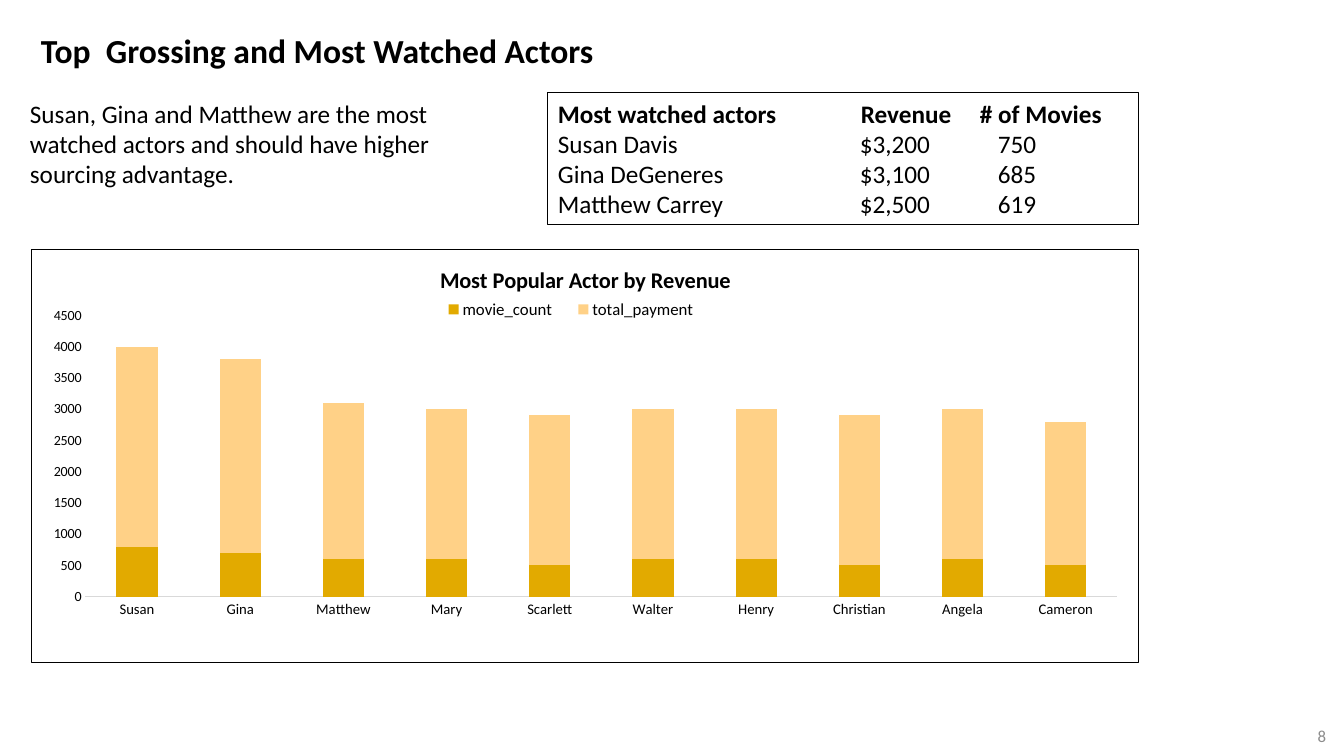
from lxml import etree
from pptx import Presentation
from pptx import util as u
from pptx.chart.data import CategoryChartData
from pptx.dml.color import RGBColor
from pptx.enum import chart as ch, shapes, text
from pptx.oxml import parse_xml
from pptx.oxml.ns import nsdecls, qn

SCALE = 9071.43  # EMU in one px
FONT = "Calibri"
BLACK = RGBColor(0x00, 0x00, 0x00)
GREY = RGBColor(0x8C, 0x8C, 0x8C)
AXIS_GREY = RGBColor(0xD9, 0xD9, 0xD9)
GOLD = RGBColor(0xE2, 0xAA, 0x00)
PEACH = RGBColor(0xFF, 0xD1, 0x87)

HEADER = ("Most watched actors", "Revenue", "# of Movies")
TOP_ACTORS = [
    ("Susan Davis", "$3,200", "750"),
    ("Gina DeGeneres", "$3,100", "685"),
    ("Matthew Carrey", "$2,500", "619"),
]
ACTORS = ["Susan", "Gina", "Matthew", "Mary", "Scarlett",
          "Walter", "Henry", "Christian", "Angela", "Cameron"]
SERIES = [
    ("movie_count", GOLD,
     [800, 700, 600, 600, 500, 600, 600, 500, 600, 500]),
    ("total_payment", PEACH,
     [3200, 3100, 2500, 2400, 2400, 2400, 2400, 2400, 2400, 2300]),
]


def px(n):
    return u.Emu(round(n * SCALE))


def set_font(font, size, color=BLACK, bold=False):
    font.name = FONT
    font.size = u.Pt(size)
    font.bold = bold
    font.color.rgb = color


def add_lines(tf, lines, size, color=BLACK, bold=False, align=text.PP_ALIGN.LEFT):
    tf.word_wrap = True
    for i, line in enumerate(lines):
        p = tf.add_paragraph() if i else tf.paragraphs[0]
        p.text = line
        p.alignment = align
        set_font(p.font, size, color, bold)


def add_text(s, box, lines, size, anchor=text.MSO_ANCHOR.TOP, **style):
    tf = s.shapes.add_textbox(*map(px, box)).text_frame
    tf.vertical_anchor = anchor
    add_lines(tf, lines, size, **style)


def add_tabs(p, stops):
    tabs = etree.SubElement(p._p.get_or_add_pPr(), qn("a:tabLst"))
    for stop in stops:
        etree.SubElement(tabs, qn("a:tab"), pos=str(px(stop)), algn="l")


def add_actor_box(s, box):
    sp = s.shapes.add_shape(shapes.MSO_SHAPE.RECTANGLE, *map(px, box))
    sp.shadow.inherit = False
    sp.fill.background()
    sp.line.color.rgb = BLACK
    sp.line.width = u.Pt(0.75)
    tf = sp.text_frame
    tf.word_wrap = True
    tf.vertical_anchor = text.MSO_ANCHOR.TOP
    for i, row in enumerate([HEADER] + TOP_ACTORS):
        p = tf.add_paragraph() if i else tf.paragraphs[0]
        p.text = "\t".join(row)
        p.alignment = text.PP_ALIGN.LEFT
        add_tabs(p, (302, 440) if i else (303, 422))
        set_font(p.font, 18, bold=i == 0)


def place(parent, after, box, frame, inner=False):
    """Fix a chart part at box (px on the slide) inside the chart frame."""
    for old in parent.findall(qn("c:layout")):
        parent.remove(old)
    layout = etree.Element(qn("c:layout"))
    manual = etree.SubElement(layout, qn("c:manualLayout"))
    left, top, width, height = frame
    parts = {"layoutTarget": "inner"} if inner else {}
    parts.update(xMode="edge", yMode="edge",
                 x=round((box[0] - left) / width, 4),
                 y=round((box[1] - top) / height, 4))
    if len(box) == 4:
        parts.update(w=round(box[2] / width, 4), h=round(box[3] / height, 4))
    for name, value in parts.items():
        etree.SubElement(manual, qn("c:" + name), val=str(value))
    if after is None:
        parent.insert(0, layout)
    else:
        parent.find(qn(after)).addnext(layout)


def add_border(chart):
    chart.element.find(qn("c:chart")).addnext(parse_xml(
        f'<c:spPr {nsdecls("c", "a")}><a:noFill/><a:ln w="9525"><a:solidFill>'
        f'<a:srgbClr val="{BLACK}"/></a:solidFill></a:ln></c:spPr>'))


def style_axis(axis, size):
    axis.has_major_gridlines = False
    axis.major_tick_mark = axis.minor_tick_mark = ch.XL_TICK_MARK.NONE
    set_font(axis.tick_labels.font, size)


def add_revenue_chart(s, frame):
    data = CategoryChartData()
    data.categories = ACTORS
    for name, _, values in SERIES:
        data.add_series(name, values)
    chart = s.shapes.add_chart(
        ch.XL_CHART_TYPE.COLUMN_STACKED, *map(px, frame), data).chart
    set_font(chart.font, 10)
    add_border(chart)

    # Title and legend
    chart.has_title = True
    add_lines(chart.chart_title.text_frame,
              ["Most Popular Actor by Revenue"], 16, bold=True,
              align=text.PP_ALIGN.CENTER)
    chart.has_legend = True
    chart.legend.position = ch.XL_LEGEND_POSITION.BOTTOM
    chart.legend.include_in_layout = False
    set_font(chart.legend.font, 12)

    # Axes
    style_axis(chart.category_axis, 10.5)
    chart.category_axis.format.line.color.rgb = AXIS_GREY
    chart.category_axis.format.line.width = u.Pt(0.75)
    values = chart.value_axis
    style_axis(values, 10)
    values.format.line.fill.background()
    values.minimum_scale, values.maximum_scale = 0, 4500
    values.major_unit = 500

    # Columns
    plot = chart.plots[0]
    plot.gap_width, plot.overlap = 150, 100
    plot.vary_by_categories = False
    for series, (_, color, _) in zip(plot.series, SERIES):
        series.format.fill.solid()
        series.format.fill.fore_color.rgb = color

    # Positions of the parts
    root = chart.element.find(qn("c:chart"))
    place(root.find(qn("c:title")), "c:tx", (436, 260), frame)
    place(root.find(qn("c:legend")), "c:legendPos", (428, 297, 286, 24), frame)
    place(root.find(qn("c:plotArea")), None, (85, 315, 1033, 282), frame, True)


def main():
    prs = Presentation()
    prs.slide_width, prs.slide_height = px(1344), px(756)
    s = prs.slides.add_slide(prs.slide_layouts[6])

    # Heading and message
    add_text(s, (31, 25, 640, 50), ["Top  Grossing and Most Watched Actors"],
             24, bold=True)
    add_text(s, (20, 93, 494, 102),
             ["Susan, Gina and Matthew are the most",
              "watched actors and should have higher sourcing advantage."], 18)

    # Figures and chart
    add_actor_box(s, (548, 93, 591, 132))
    add_revenue_chart(s, (31, 249, 1108, 414))

    # Slide number
    add_text(s, (1034, 716, 302, 40), ["8"], 12, text.MSO_ANCHOR.MIDDLE,
             color=GREY, align=text.PP_ALIGN.RIGHT)
    prs.save("out.pptx")


if __name__ == "__main__":
    main()
